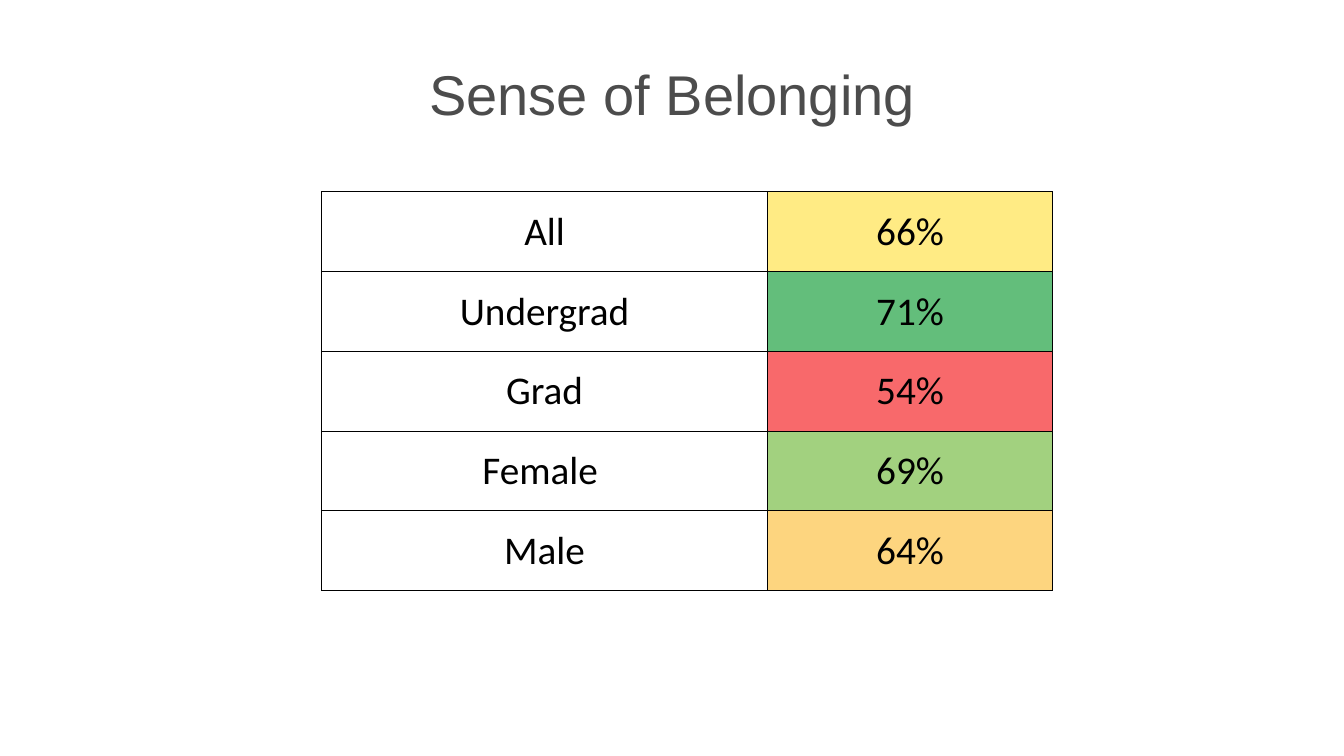
from pptx import Presentation
from pptx.dml.color import RGBColor
from pptx.enum.text import MSO_ANCHOR, PP_ALIGN
from pptx.oxml import parse_xml
from pptx.oxml.ns import nsdecls
from pptx.util import Inches, Pt

COLORS = {
    "title": "4C4C4C",
    "ink": "000000",
    "paper": "FFFFFF",
    "yellow": "FFEB84",
    "green": "63BE7B",
    "red": "F8696B",
    "lime": "A2D17F",
    "orange": "FDD57F",
}

SCORES = [
    ("All", "66%", "yellow"),
    ("Undergrad", "71%", "green"),
    ("Grad", "54%", "red"),
    ("Female ", "69%", "lime"),
    ("Male", "64%", "orange"),
]


class SlideBuilder:
    title_font = "Arial"
    title_size = Pt(40)
    table_font = "Calibri"
    table_size = Pt(28)
    border = Pt(0.5)
    inset = Inches(0.01)

    def __init__(self, presentation):
        self.width = presentation.slide_width
        self.height = presentation.slide_height
        self.slide = presentation.slides.add_slide(presentation.slide_layouts[5])

    def box(self, left, top, width, height):
        return (int(left * self.width), int(top * self.height),
                int(width * self.width), int(height * self.height))

    def centered_text(self, frame, text, font, size, color):
        frame.text = text
        paragraph = frame.paragraphs[0]
        paragraph.alignment = PP_ALIGN.CENTER
        paragraph.font.name = font
        paragraph.font.size = size
        paragraph.font.color.rgb = RGBColor.from_string(COLORS[color])

    def title(self, text, left, top, width, height):
        heading = self.slide.shapes.title
        heading.left, heading.top, heading.width, heading.height = self.box(
            left, top, width, height)
        heading.text_frame.vertical_anchor = MSO_ANCHOR.MIDDLE
        self.centered_text(heading.text_frame, text, self.title_font,
                           self.title_size, "title")

    def cell(self, cell, text, fill):
        cell.margin_left = cell.margin_right = cell.margin_top = self.inset
        cell.margin_bottom = 0
        cell.vertical_anchor = MSO_ANCHOR.MIDDLE
        self.centered_text(cell.text_frame, text, self.table_font,
                           self.table_size, "ink")
        properties = cell._tc.get_or_add_tcPr()
        for side in ("lnL", "lnR", "lnT", "lnB"):
            properties.append(parse_xml(
                f'<a:{side} {nsdecls("a")} w="{self.border}"><a:solidFill>'
                f'<a:srgbClr val="{COLORS["ink"]}"/></a:solidFill></a:{side}>'))
        cell.fill.solid()
        cell.fill.fore_color.rgb = RGBColor.from_string(COLORS[fill])

    def score_table(self, scores, left, top, width, height, label_share):
        frame = self.slide.shapes.add_table(
            len(scores), 2, *self.box(left, top, width, height))
        table = frame.table
        table.first_row = table.horz_banding = False
        label_width = int(frame.width * label_share)
        score_width = frame.width - label_width
        table.columns[0].width = label_width
        table.columns[1].width = score_width
        for row, (group, score, fill) in enumerate(scores):
            self.cell(table.cell(row, 0), group, "paper")
            self.cell(table.cell(row, 1), score, fill)


def main():
    presentation = Presentation()
    presentation.slide_width = Inches(13.33)
    presentation.slide_height = Inches(7.5)
    builder = SlideBuilder(presentation)
    builder.title("Sense of Belonging", 0.05, 0.04, 0.9, 1 / 6)
    builder.score_table(SCORES, 3.19 / 13.33, 1.9 / 7.5, 7.25 / 13.33, 3.96 / 7.5, 0.61)
    presentation.save("out.pptx")


if __name__ == "__main__":
    main()
